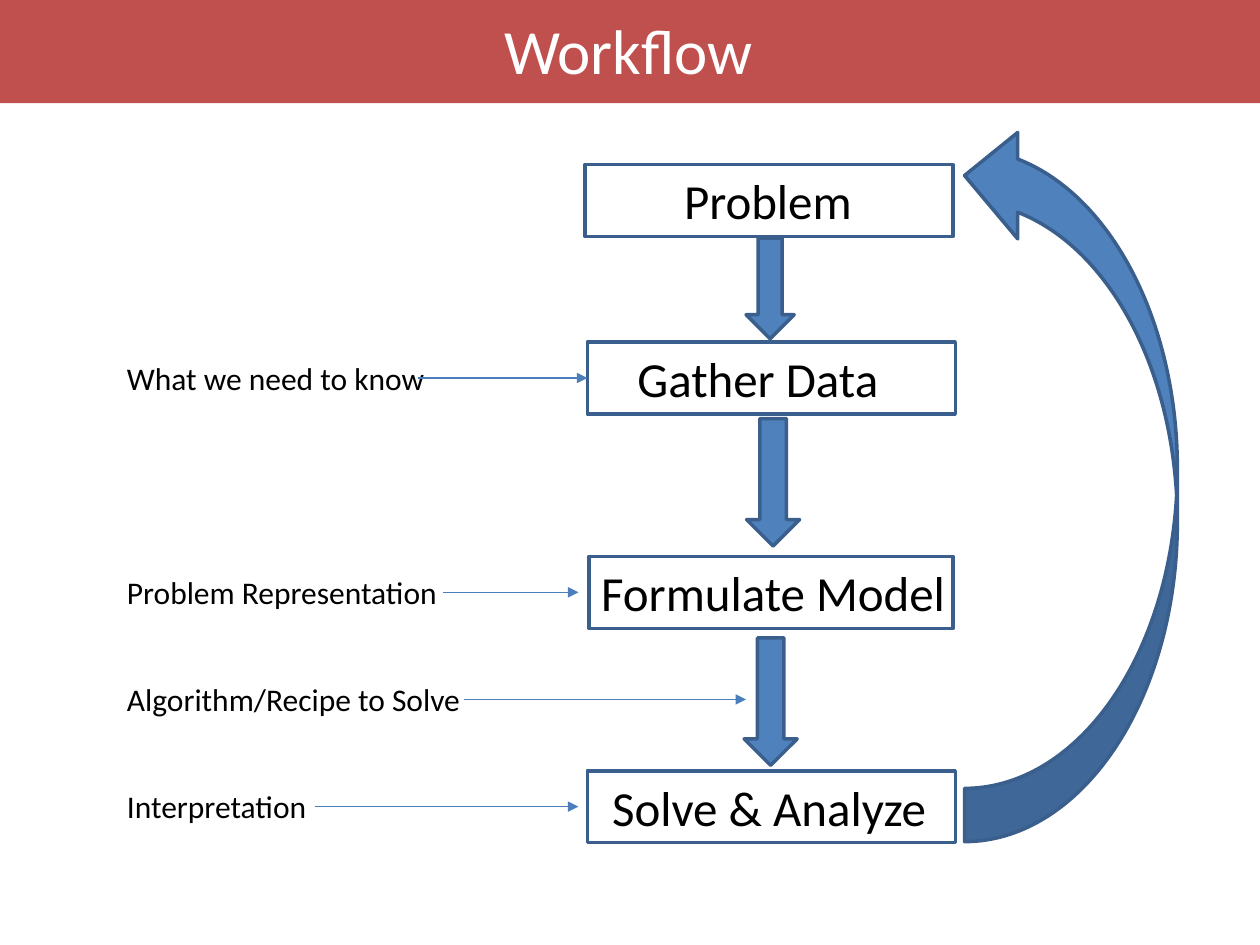
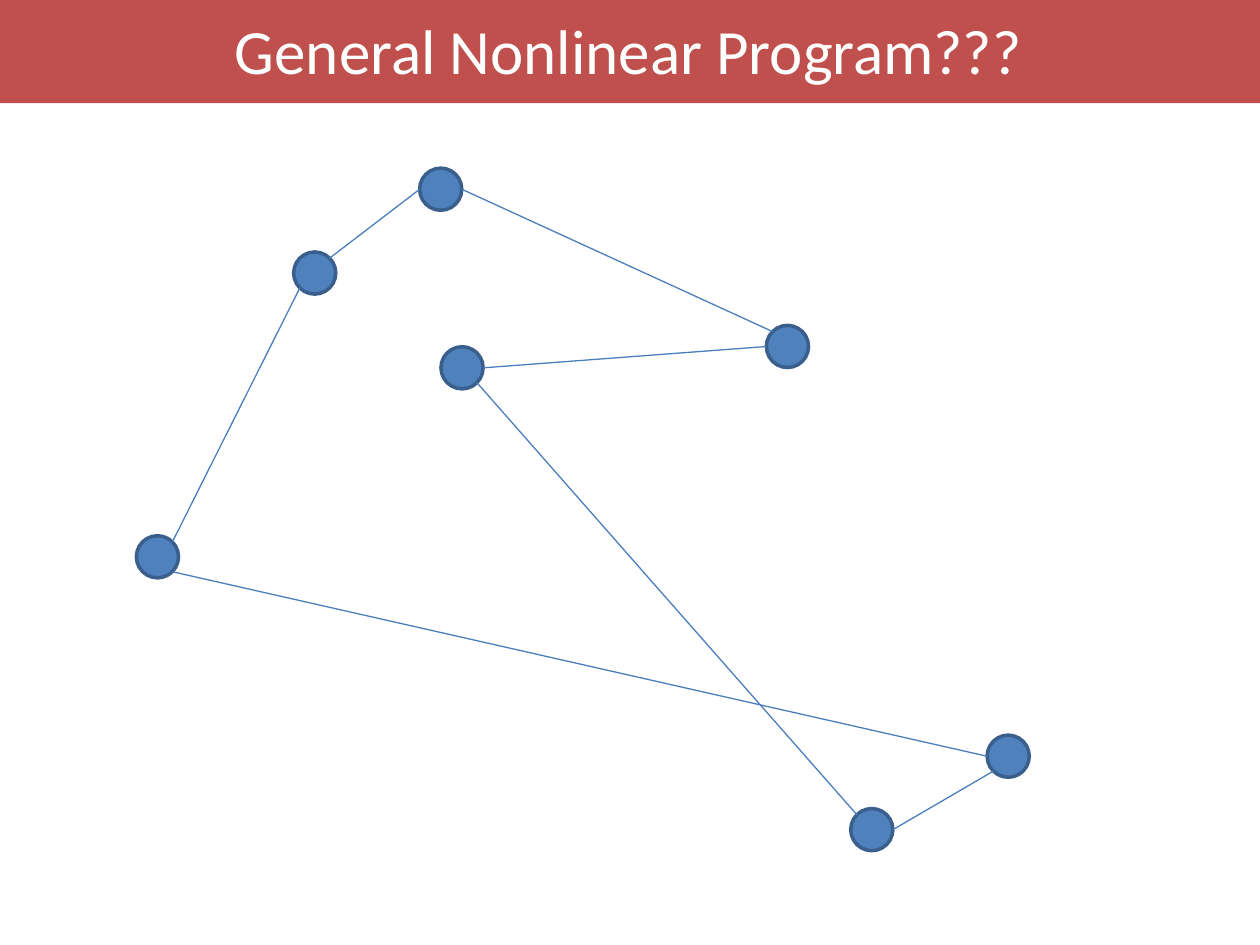
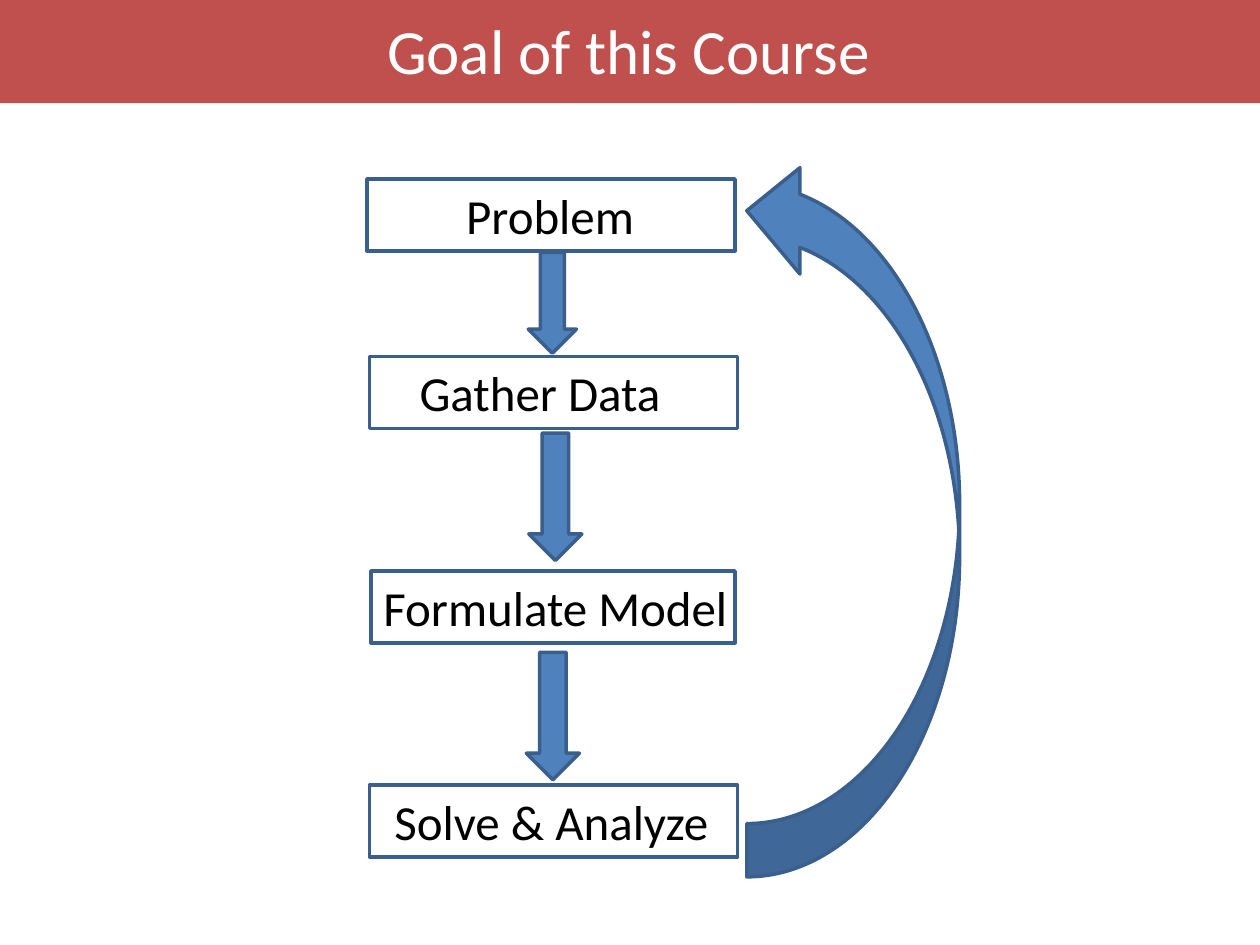
"""Builds three course slides: a modelling workflow, a tour of nodes and the course goal."""
from math import cos, radians, sin

from pptx import Presentation
from pptx.dml.color import RGBColor
from pptx.enum.shapes import MSO_CONNECTOR as Line, MSO_SHAPE as Shape
from pptx.enum.text import MSO_ANCHOR as Anchor, MSO_AUTO_SIZE as AutoSize, PP_ALIGN as Align
from pptx.oxml.ns import qn
from pptx.util import Cm, Pt
from lxml.etree import SubElement

RED = RGBColor(0xC0, 0x50, 0x4D)
BLUE = RGBColor(0x4F, 0x81, 0xBD)
DARK_BLUE = RGBColor(0x3A, 0x5F, 0x8C)
LINE_BLUE = RGBColor(0x4B, 0x7E, 0xBC)
BLACK = RGBColor(0, 0, 0)
WHITE = RGBColor(0xFF, 0xFF, 0xFF)
FONT = "Calibri"

STEP_HEIGHT = 1.45
NODE_SIZE = 0.85

# Label, left, top, width, label left, label width; relative to the flow's corner
STEPS = [
    ("Problem", 0, 0, 7.42, 1.75, 4.52),
    ("Gather Data", 0.05, 3.58, 7.42, 0.81, 6.35),
    ("Formulate Model", 0.08, 7.9, 7.34, 0.08, 7.77),
    ("Solve & Analyze", 0.05, 12.22, 7.42, 0.3, 6.99),
]
# Left, top, width, height before the quarter turn
DOWN_ARROWS = [
    (2.72, 2.01, 2.03, 0.97),
    (2.51, 5.87, 2.57, 1.07),
    (2.46, 10.29, 2.57, 1.07),
]
# Text, top, width, arrow start, arrow end
NOTES = [
    ("What we need to know", 7.11, 6.78, 8.43, 11.84),
    ("Problem Representation", 11.43, 7.75, 8.94, 11.66),
    ("Algorithm/Recipe to Solve", 13.59, 7.75, 9.35, 15.04),
    ("Interpretation", 15.75, 7.75, 6.35, 11.66),
]
# Left, top, angle where the tour arrives, angle where it leaves
TOUR = [
    (2.75, 10.8, 45, -45),
    (5.92, 5.08, 135, -45),
    (8.46, 3.39, 180, 0),
    (15.45, 6.56, 225, 180),
    (8.89, 6.99, 0, 45),
    (17.15, 16.3, 225, 0),
    (19.9, 14.82, 135, 180),
]


def add_figure(page, kind, left, top, width, height, fill=None, outline=None, rotation=0):
    """Add a preset shape with an optional fill and outline."""
    figure = page.shapes.add_shape(kind, Cm(left), Cm(top), Cm(width), Cm(height))
    figure.shadow.inherit = False
    figure.rotation = rotation
    if fill is None:
        figure.fill.background()
    else:
        figure.fill.solid()
        figure.fill.fore_color.rgb = fill
    if outline is None:
        figure.line.fill.background()
    else:
        figure.line.color.rgb = outline
        figure.line.width = Pt(2)


def add_text(page, text, left, top, width, height, size, color=BLACK):
    """Add a one-line text box and return it."""
    box = page.shapes.add_textbox(Cm(left), Cm(top), Cm(width), Cm(height))
    frame = box.text_frame
    frame.text = text
    frame.word_wrap = True
    frame.auto_size = AutoSize.SHAPE_TO_FIT_TEXT
    font = frame.paragraphs[0].runs[0].font
    font.name, font.size, font.color.rgb = FONT, Pt(size), color
    return box


def add_line(page, start, end, arrow=False):
    """Add a thin straight line, with an arrowhead at its end if asked."""
    points = [Cm(value) for value in (*start, *end)]
    connector = page.shapes.add_connector(Line.STRAIGHT, *points)
    connector.line.color.rgb = LINE_BLUE
    connector.line.width = Pt(0.75)
    properties = connector.element.spPr
    if arrow:
        SubElement(properties.find(qn("a:ln")), qn("a:tailEnd"), type="triangle")
    SubElement(properties, qn("a:effectLst"))


def add_page(deck, title, title_width):
    """Add a blank page with the red title band."""
    page = deck.slides.add_slide(deck.slide_layouts[6])
    add_figure(page, Shape.RECTANGLE, -0.05, 0, 25.45, 2.08, fill=RED)
    box = add_text(page, title, 12.67 - title_width / 2, 0.1, title_width, 1.8, 36, WHITE)
    box.text_frame.word_wrap = False
    box.text_frame.vertical_anchor = Anchor.MIDDLE
    box.text_frame.paragraphs[0].alignment = Align.CENTER
    return page


def add_flow(page, left, top, loop_top):
    """Add the four steps, the arrows between them and the loop back."""
    for label, step_left, step_top, width, label_left, label_width in STEPS:
        add_figure(page, Shape.RECTANGLE, left + step_left, top + step_top,
                   width, STEP_HEIGHT, outline=DARK_BLUE)
        add_text(page, label, left + label_left, top + step_top, label_width, STEP_HEIGHT, 28)
    for arrow_left, arrow_top, width, height in DOWN_ARROWS:
        add_figure(page, Shape.RIGHT_ARROW, left + arrow_left, top + arrow_top,
                   width, height, BLUE, DARK_BLUE, 90)
    add_figure(page, Shape.CURVED_UP_ARROW, left + 2.55, loop_top, 14.5, 4.29,
               BLUE, DARK_BLUE, 270)


def add_notes(page):
    """Add the notes on the left, each with an arrow to the flow."""
    for text, top, width, start, end in NOTES:
        add_text(page, text, 2.31, top, width, 1.02, 18)
        add_line(page, (start, top + 0.51), (end, top + 0.51), arrow=True)


def rim_point(left, top, angle):
    """Return the point on a node's rim at a clockwise angle from the right."""
    radius = NODE_SIZE / 2
    turn = radians(angle)
    return left + radius * (1 + cos(turn)), top + radius * (1 + sin(turn))


def add_tour(page):
    """Add the nodes and the closed tour that joins them in order."""
    for left, top, _, _ in TOUR:
        add_figure(page, Shape.OVAL, left, top, NODE_SIZE, NODE_SIZE, BLUE, DARK_BLUE)
    for node, following in zip(TOUR, TOUR[1:] + TOUR[:1]):
        left, top, _, leaving = node
        next_left, next_top, arriving, _ = following
        add_line(page, rim_point(left, top, leaving), rim_point(next_left, next_top, arriving))


def main():
    """Build the deck and save it."""
    deck = Presentation()
    deck.slide_width, deck.slide_height = Cm(25.4), Cm(19.05)

    workflow = add_page(deck, "Workflow", 5.59)
    add_flow(workflow, 11.79, 3.32, loop_top=7.57)
    add_notes(workflow)

    add_tour(add_page(deck, "General Nonlinear Program???", 16.51))

    goal = add_page(deck, "Goal of this Course", 10.34)
    add_flow(goal, 7.4, 3.61, loop_top=8.28)

    deck.save("out.pptx")


if __name__ == "__main__":
    main()
